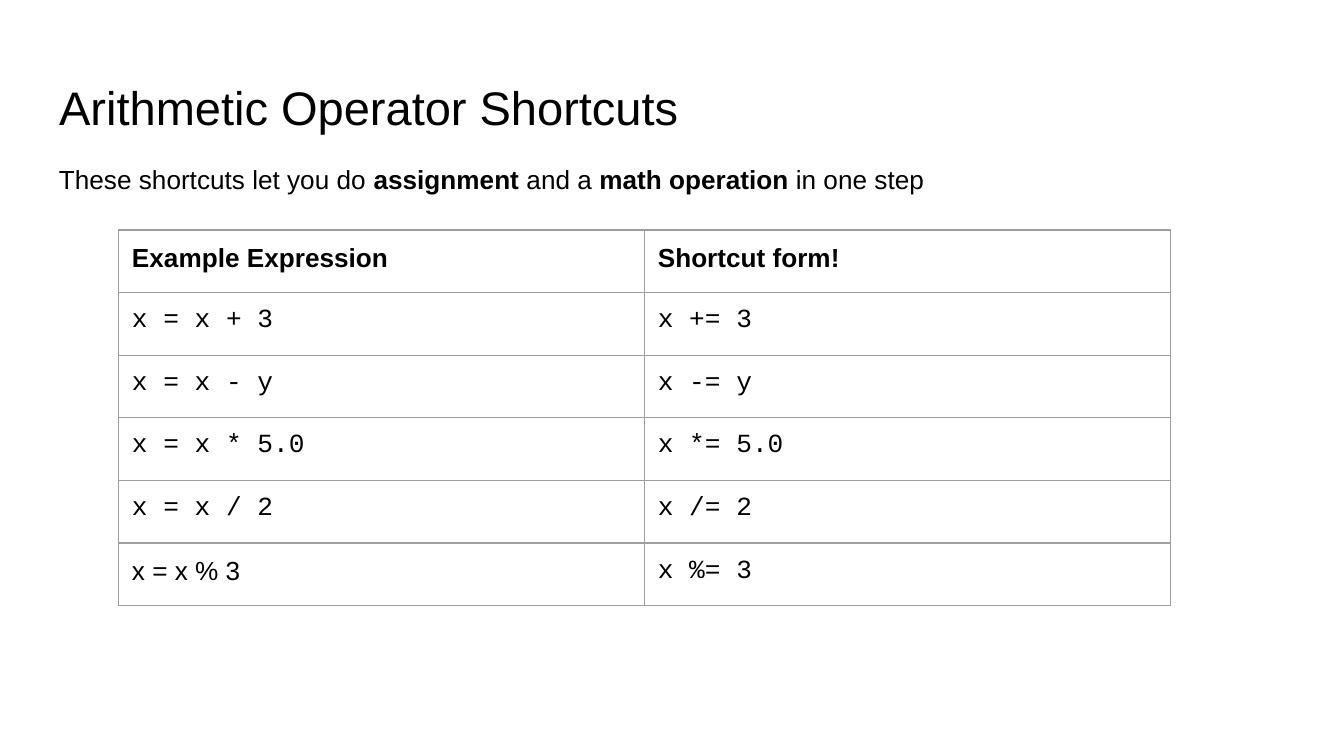
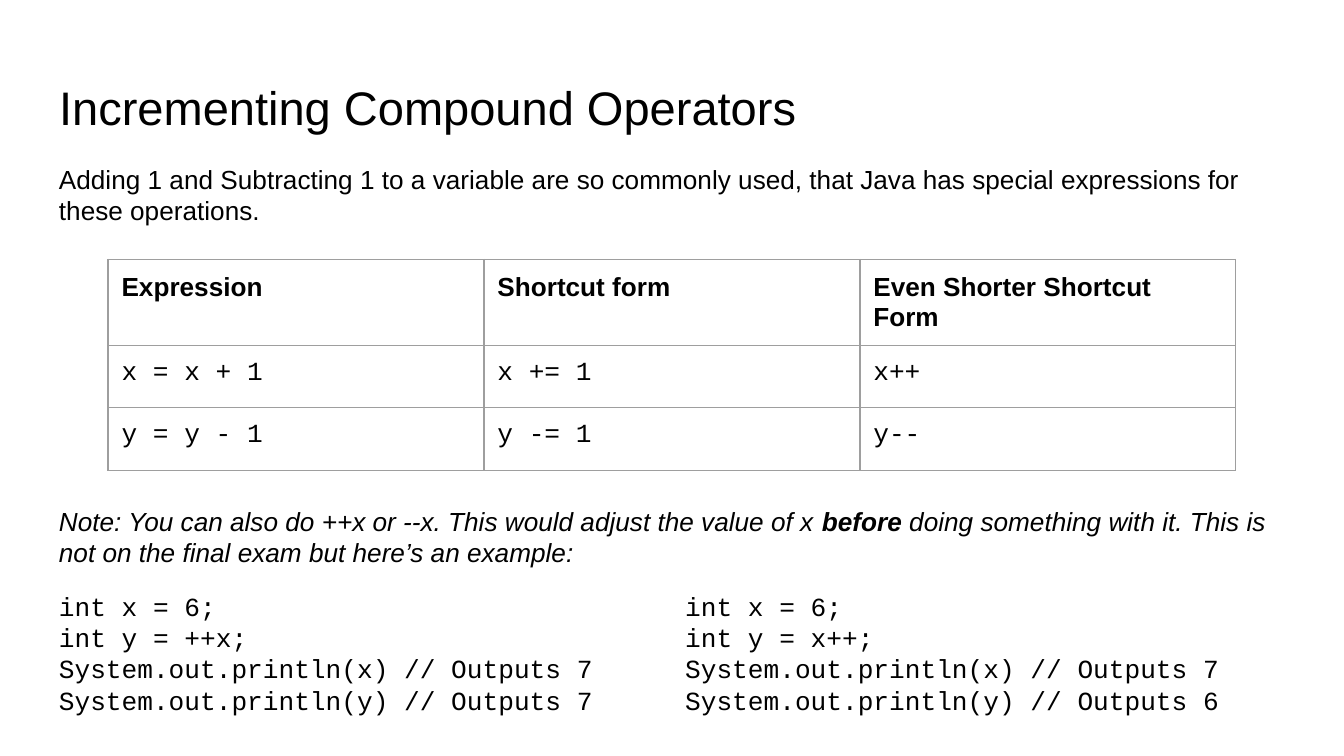
from dataclasses import dataclass

from lxml import etree
from pptx import Presentation
from pptx import util as u
from pptx.dml import color
from pptx.enum import text as t
from pptx.oxml import ns

Pt = u.Pt


@dataclass(frozen=True)
class Theme:
    ink: color.RGBColor = color.RGBColor(0, 0, 0)
    border: str = "9E9E9E"
    border_width: float = 0.75
    sans: str = "Arial"
    mono: str = "Courier New"
    title_size: float = 25.2
    body_size: float = 14
    line_pitch: float = 16.8
    inset: float = 7.2
    left: float = 24.5
    full_width: float = 671
    row_height: float = 33.55


@dataclass(frozen=True)
class Span:
    text: str
    bold: bool = False


@dataclass(frozen=True)
class TextBlock:
    left: float
    top: float
    width: float
    height: float
    paragraphs: list[list[Span]]
    font: str
    italic: bool = False


@dataclass(frozen=True)
class Grid:
    left: float
    top: float
    column_width: float
    header: list[str]
    rows: list[list[str]]
    plain_cells: tuple[str, ...] = ()


THEME = Theme()


def style_font(font, name: str, size: float, bold: bool = False, italic: bool = False) -> None:
    font.name = name
    font.size = Pt(size)
    font.bold = bold
    font.italic = italic
    font.color.rgb = THEME.ink


def set_insets(holder) -> None:
    inset = Pt(THEME.inset)
    holder.margin_left = holder.margin_top = holder.margin_right = holder.margin_bottom = inset


def add_page(deck, heading: str):
    page = deck.slides.add_slide(deck.slide_layouts[5])
    title = page.shapes.title
    title.left, title.top = Pt(THEME.left), Pt(34.5)
    title.width, title.height = Pt(THEME.full_width), Pt(45)
    frame = title.text_frame
    set_insets(frame)
    frame.word_wrap = True
    frame.auto_size = t.MSO_AUTO_SIZE.NONE
    frame.vertical_anchor = t.MSO_ANCHOR.MIDDLE
    para = frame.paragraphs[0]
    para.text = heading
    para.alignment = t.PP_ALIGN.LEFT
    style_font(para.font, THEME.sans, THEME.title_size)
    return page


def add_text(page, block: TextBlock) -> None:
    box = page.shapes.add_textbox(Pt(block.left), Pt(block.top), Pt(block.width), Pt(block.height))
    frame = box.text_frame
    set_insets(frame)
    frame.word_wrap = True
    frame.auto_size = t.MSO_AUTO_SIZE.SHAPE_TO_FIT_TEXT
    for index, spans in enumerate(block.paragraphs):
        para = frame.add_paragraph() if index else frame.paragraphs[0]
        para.line_spacing = Pt(THEME.line_pitch)
        style_font(para.font, block.font, THEME.body_size, italic=block.italic)
        for span in spans:
            run = para.add_run()
            run.text = span.text
            if span.bold:
                run.font.bold = True


def add_borders(cell) -> None:
    properties = cell._tc.get_or_add_tcPr()
    for side in ("a:lnL", "a:lnR", "a:lnT", "a:lnB"):
        line = etree.SubElement(properties, ns.qn(side), w=str(Pt(THEME.border_width)))
        fill = etree.SubElement(line, ns.qn("a:solidFill"))
        etree.SubElement(fill, ns.qn("a:srgbClr"), val=THEME.border)


def add_grid(page, grid: Grid) -> None:
    lines = [grid.header, *grid.rows]
    columns = len(grid.header)
    table = page.shapes.add_table(
        len(lines), columns, Pt(grid.left), Pt(grid.top),
        Pt(grid.column_width * columns), Pt(THEME.row_height * len(lines)),
    ).table
    table.first_row = table.horz_banding = False
    for column in table.columns:
        column.width = Pt(grid.column_width)
    for row_index, values in enumerate(lines):
        table.rows[row_index].height = Pt(THEME.row_height)
        is_header = row_index == 0
        for column_index, value in enumerate(values):
            cell = table.cell(row_index, column_index)
            add_borders(cell)
            cell.fill.background()
            set_insets(cell)
            para = cell.text_frame.paragraphs[0]
            para.text = value
            is_sans = is_header or value in grid.plain_cells
            style_font(para.font, THEME.sans if is_sans else THEME.mono, THEME.body_size, bold=is_header)


def build_arithmetic_page(deck) -> None:
    page = add_page(deck, "Arithmetic Operator Shortcuts")
    operations = [("+", "3"), ("-", "y"), ("*", "5.0"), ("/", "2"), ("%", "3")]
    add_grid(page, Grid(
        63.5, 123.2, 281.75,
        ["Example Expression", "Shortcut form!"],
        [[f"x = x {sign} {value}", f"x {sign}= {value}"] for sign, value in operations],
        plain_cells=("x = x % 3",),
    ))
    add_text(page, TextBlock(THEME.left, 80.2, 551.5, 31.5, [[
        Span("These shortcuts let you do "),
        Span("assignment ", bold=True),
        Span("and a "),
        Span("math operation", bold=True),
        Span(" in one step"),
    ]], THEME.sans))


def build_increment_page(deck) -> None:
    page = add_page(deck, "Incrementing Compound Operators")
    add_grid(page, Grid(
        57.9, 139, 201.4,
        ["Expression", "Shortcut form", "Even Shorter Shortcut Form"],
        [[f"{name} = {name} {sign} 1", f"{name} {sign}= 1", f"{name}{sign}{sign}"]
         for name, sign in (("x", "+"), ("y", "-"))],
    ))
    add_text(page, TextBlock(THEME.left, 80.2, THEME.full_width, 48, [[
        Span("Adding 1 and Subtracting 1 to a variable are so commonly used, "
             "that Java has special expressions for these operations."),
    ]], THEME.sans))
    add_text(page, TextBlock(THEME.left, 263.5, THEME.full_width, 133, [[
        Span("Note: You can also do ++x or --x. This would adjust the value of x "),
        Span("before", bold=True),
        Span(" doing something with it. This is not on the final exam but here’s an example:"),
    ]], THEME.sans, italic=True))
    for left, expression, result in ((THEME.left, "++x", 7), (360, "x++", 6)):
        code = [
            "int x = 6;",
            f"int y = {expression};",
            "System.out.println(x) // Outputs 7",
            f"System.out.println(y) // Outputs {result}",
        ]
        add_text(page, TextBlock(left, 308.9, 309.6, 82, [[Span(line)] for line in code], THEME.mono))


def main() -> None:
    deck = Presentation()
    deck.slide_width, deck.slide_height = Pt(720), Pt(405)
    build_arithmetic_page(deck)
    build_increment_page(deck)
    deck.save("out.pptx")


if __name__ == "__main__":
    main()
